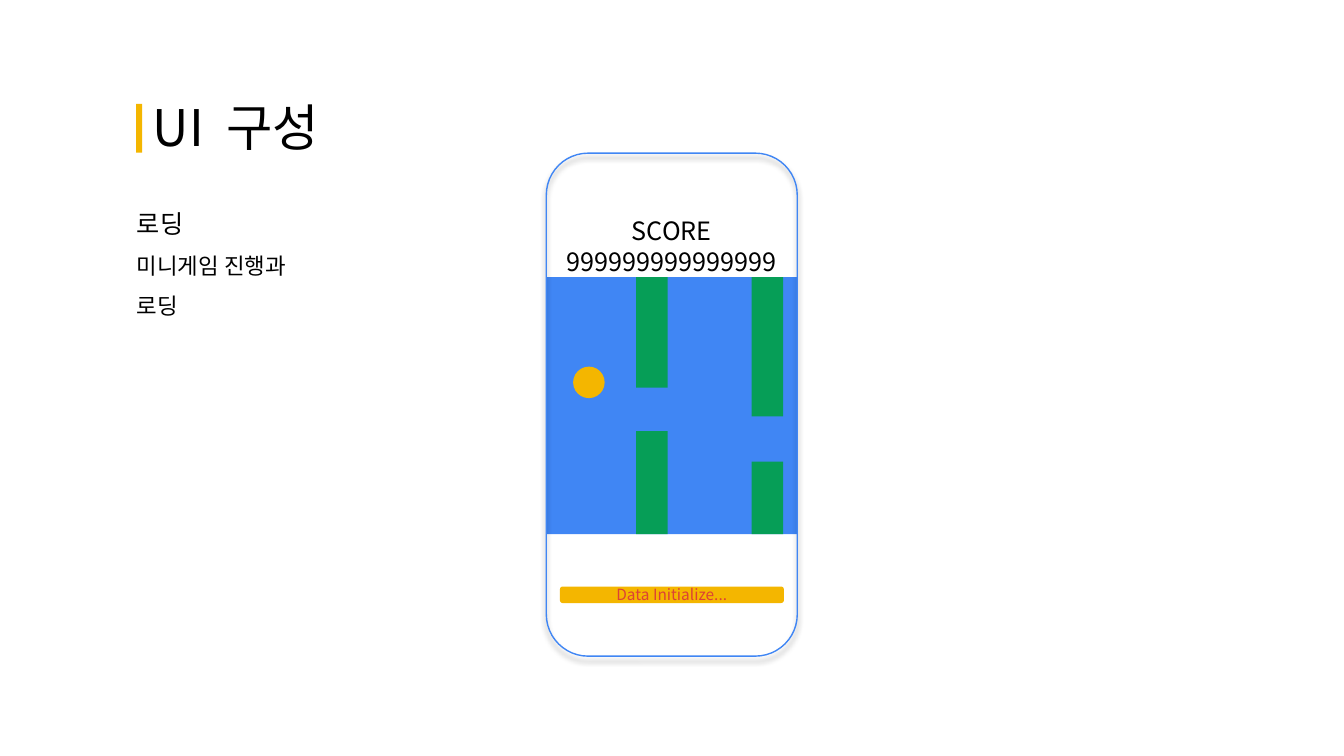
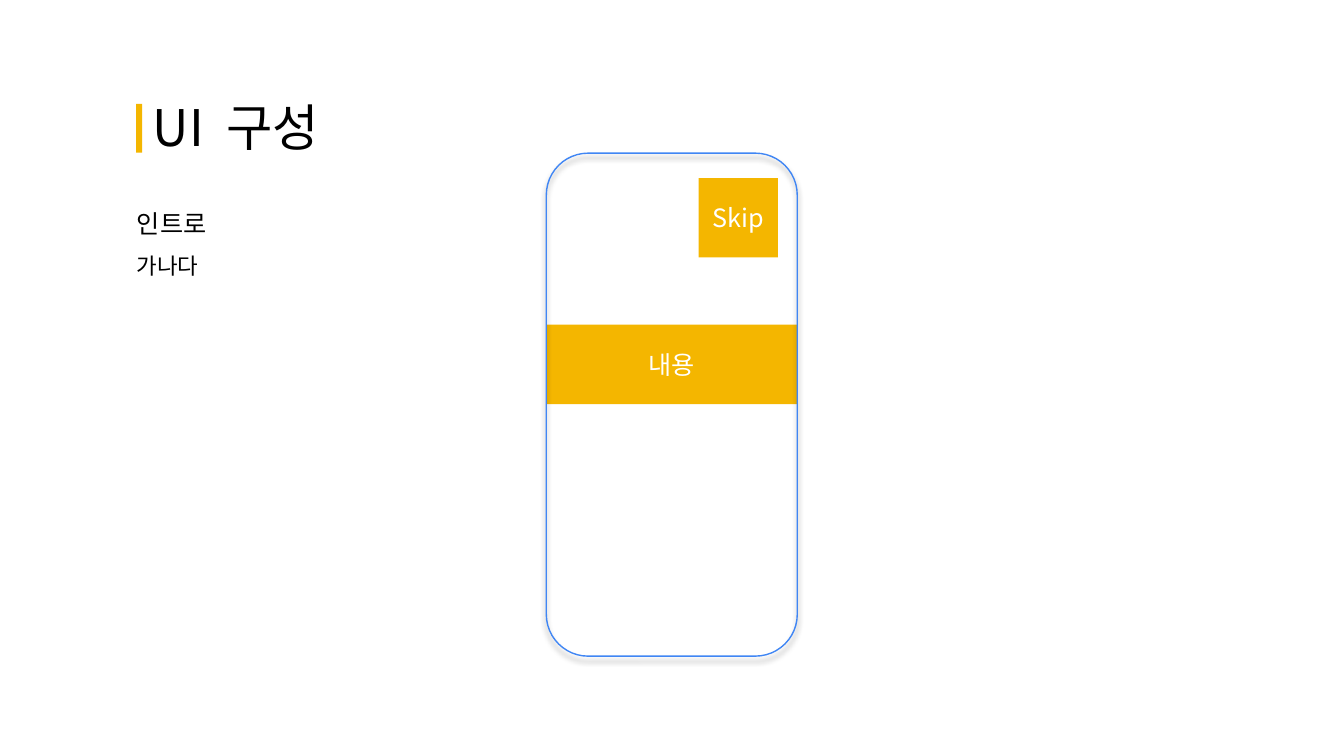
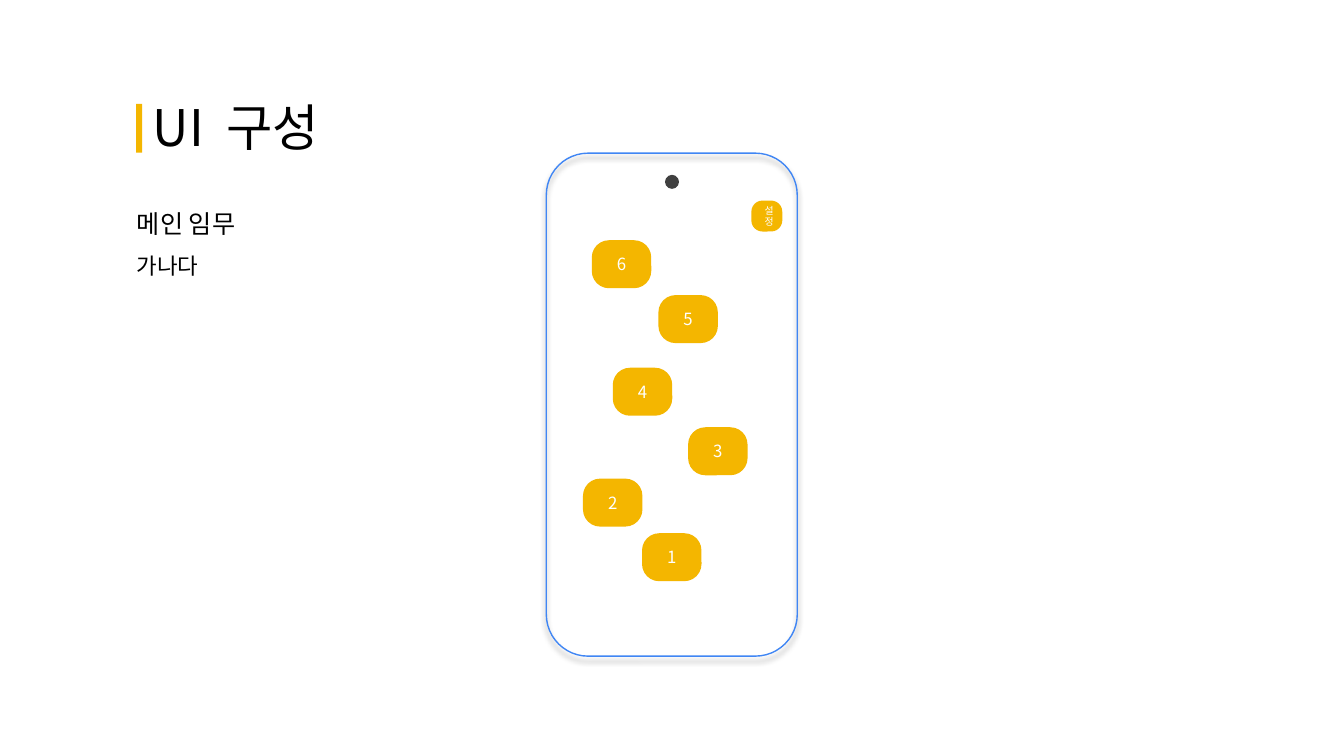
from dataclasses import dataclass
from typing import NamedTuple, Optional

from lxml import etree
from pptx import Presentation
from pptx.dml.color import RGBColor
from pptx.enum.shapes import MSO_SHAPE
from pptx.enum.text import MSO_ANCHOR, MSO_AUTO_SIZE, PP_ALIGN
from pptx.oxml import parse_xml
from pptx.oxml.ns import nsdecls, qn
from pptx.util import Pt


@dataclass(frozen=True)
class Theme:
    """Colours, font and type sizes of the deck."""
    font: str = "Noto Sans CJK KR"
    ink: str = "000000"
    paper: str = "FFFFFF"
    blue: str = "4086F4"
    amber: str = "F4B600"
    green: str = "069E57"
    red: str = "DC4234"
    camera: str = "404040"
    title: float = 36
    heading: float = 18
    body: float = 16
    stage: float = 12
    status: float = 11
    tiny: float = 7


THEME = Theme()


class Box(NamedTuple):
    """A frame in points."""
    left: float
    top: float
    width: float
    height: float


@dataclass(frozen=True)
class Block:
    """A filled shape with an optional centred label."""
    box: Box
    fill: str = THEME.amber
    kind: MSO_SHAPE = MSO_SHAPE.RECTANGLE
    label: str = ""
    size: float = THEME.heading
    corner: Optional[float] = None


@dataclass(frozen=True)
class Caption:
    """A text box whose lines are (wording, size) pairs."""
    box: Box
    lines: tuple[tuple[str, float], ...]
    color: str = THEME.ink
    align: Optional[PP_ALIGN] = None
    spacing: Optional[float] = None


@dataclass(frozen=True)
class Screen:
    """One slide: its notes and the contents of the phone."""
    notes: tuple[str, ...]
    backdrop: tuple[Block, ...] = ()
    blocks: tuple[Block, ...] = ()
    captions: tuple[Caption, ...] = ()


class Pipe(NamedTuple):
    """An obstacle with an opening between two heights."""
    left: float
    gap_top: float
    gap_bottom: float


class Stage(NamedTuple):
    """Position of a numbered stage button."""
    left: float
    top: float


PHONE = Box(390.25, 109.4, 179.25, 359.3)
GAME = Box(PHONE.left, 198, PHONE.width, 183.5)
PIPE_WIDTH = 22.5
BUTTON_CORNER = 0.359
PIPES = (Pipe(537, 297.4, 329.8), Pipe(454.4, 276.9, 308))
STAGES = (Stage(458.6, 380.9), Stage(416.4, 341.9), Stage(491.5, 305.2),
          Stage(437.7, 262.7), Stage(470.3, 210.8), Stage(422.7, 171.6))


def add_run(paragraph, text: str, size: float, color: str):
    """Append a run in the deck font."""
    run = paragraph.add_run()
    run.text = text
    run.font.size = Pt(size)
    run.font.color.rgb = RGBColor.from_string(color)
    run.font.name = THEME.font
    etree.SubElement(run.font._element, qn("a:ea"), typeface=THEME.font)
    return run


def draw_block(slide, block: Block) -> None:
    """Draw a filled shape and its label."""
    shape = slide.shapes.add_shape(block.kind, *map(Pt, block.box))
    shape.shadow.inherit = False
    shape.fill.solid()
    shape.fill.fore_color.rgb = RGBColor.from_string(block.fill)
    shape.line.fill.background()
    if block.corner is not None:
        shape.adjustments[0] = block.corner
    if block.label:
        frame = shape.text_frame
        frame.word_wrap = True
        frame.vertical_anchor = MSO_ANCHOR.MIDDLE
        frame.paragraphs[0].alignment = PP_ALIGN.CENTER
        add_run(frame.paragraphs[0], block.label, block.size, THEME.paper)


def add_text_frame(slide, box: Box):
    """Add a wrapping text box and return its frame."""
    frame = slide.shapes.add_textbox(*map(Pt, box)).text_frame
    frame.word_wrap = True
    frame.auto_size = MSO_AUTO_SIZE.SHAPE_TO_FIT_TEXT
    return frame


def draw_caption(slide, caption: Caption) -> None:
    """Draw a text box with one paragraph per line."""
    frame = add_text_frame(slide, caption.box)
    for index, (text, size) in enumerate(caption.lines):
        paragraph = frame.add_paragraph() if index else frame.paragraphs[0]
        paragraph.alignment = caption.align
        paragraph.line_spacing = caption.spacing
        add_run(paragraph, text, size, caption.color)


def draw_title(slide) -> None:
    """Draw the shared title, with a widened word gap, and its accent bar."""
    paragraph = add_text_frame(slide, Box(102.2, 64.8, 307.4, 51.1)).paragraphs[0]
    add_run(paragraph, "UI", THEME.title, THEME.ink)
    gap = add_run(paragraph, " ", THEME.title, THEME.ink)
    gap.font._element.set("spc", "800")
    add_run(paragraph, "구성", THEME.title, THEME.ink)
    draw_block(slide, Block(Box(97.2, 74.3, 4.3, 34.8)))


def draw_phone(slide) -> None:
    """Draw the phone outline with its soft shadow."""
    phone = slide.shapes.add_shape(MSO_SHAPE.ROUNDED_RECTANGLE, *map(Pt, PHONE))
    phone.fill.background()
    phone.line.color.rgb = RGBColor.from_string(THEME.blue)
    phone.line.width = Pt(1)
    phone._element.spPr.append(parse_xml(
        f'<a:effectLst {nsdecls("a")}>'
        f'<a:outerShdw blurRad="{Pt(4)}" dist="{Pt(3)}" dir="5400000" rotWithShape="0">'
        f'<a:srgbClr val="{THEME.ink}"><a:alpha val="40000"/></a:srgbClr>'
        '</a:outerShdw></a:effectLst>'))


def draw_screen(slide, screen: Screen) -> None:
    """Draw a whole slide from back to front."""
    for block in screen.backdrop:
        draw_block(slide, block)
    draw_title(slide)
    draw_phone(slide)
    heading, *body = screen.notes
    lines = ((heading, THEME.heading), *((text, THEME.body) for text in body))
    height = 36 + 29.5 * len(body)
    draw_caption(slide, Caption(Box(90.7, 134.6, 239.8, height), lines, spacing=1.5))
    for block in screen.blocks:
        draw_block(slide, block)
    for caption in screen.captions:
        draw_caption(slide, caption)


def pipe_blocks(pipe: Pipe) -> tuple[Block, Block]:
    """Return the upper and lower parts of an obstacle."""
    bottom = GAME.top + GAME.height
    return (
        Block(Box(pipe.left, GAME.top, PIPE_WIDTH, pipe.gap_top - GAME.top), THEME.green),
        Block(Box(pipe.left, pipe.gap_bottom, PIPE_WIDTH, bottom - pipe.gap_bottom),
              THEME.green),
    )


def button(box: Box, label: str, size: float) -> Block:
    """Return a rounded button."""
    return Block(box, kind=MSO_SHAPE.ROUNDED_RECTANGLE, label=label, size=size,
                 corner=BUTTON_CORNER)


LOADING = Screen(
    notes=("로딩", "미니게임 진행과", "로딩"),
    backdrop=(Block(GAME, THEME.blue),),
    blocks=(
        Block(Box(400, 419, 160, 11.8), kind=MSO_SHAPE.ROUNDED_RECTANGLE),
        Block(Box(409.4, 261.9, 22.5, 22.5), kind=MSO_SHAPE.OVAL),
        *(part for pipe in PIPES for part in pipe_blocks(pipe)),
    ),
    captions=(
        Caption(Box(PHONE.left, 150.5, PHONE.width, 51),
                (("SCORE", THEME.heading), ("999999999999999", THEME.heading)),
                align=PP_ALIGN.CENTER),
        Caption(Box(400.3, 414.7, 159.1, 20.9), (("Data Initialize...", THEME.status),),
                THEME.red, PP_ALIGN.CENTER),
    ),
)
INTRO = Screen(
    notes=("인트로", "가나다"),
    backdrop=(Block(Box(PHONE.left, 232, PHONE.width, 56.7), label="내용"),),
    blocks=(Block(Box(499, 127.2, 56.7, 56.7), label="Skip"),),
)
MISSION = Screen(
    notes=("메인 임무", "가나다"),
    blocks=(
        Block(Box(475, 124.9, 10, 10), THEME.camera, MSO_SHAPE.OVAL),
        button(Box(536.7, 143.3, 22.1, 22.1), "설정", THEME.tiny),
        *(button(Box(*stage, 42.5, 34.3), str(number), THEME.stage)
          for number, stage in enumerate(STAGES, start=1)),
    ),
)


def main() -> None:
    """Build and save the deck."""
    deck = Presentation()
    deck.slide_width, deck.slide_height = Pt(960), Pt(540)
    for screen in (LOADING, INTRO, MISSION):
        draw_screen(deck.slides.add_slide(deck.slide_layouts[6]), screen)
    deck.save("out.pptx")


main()
